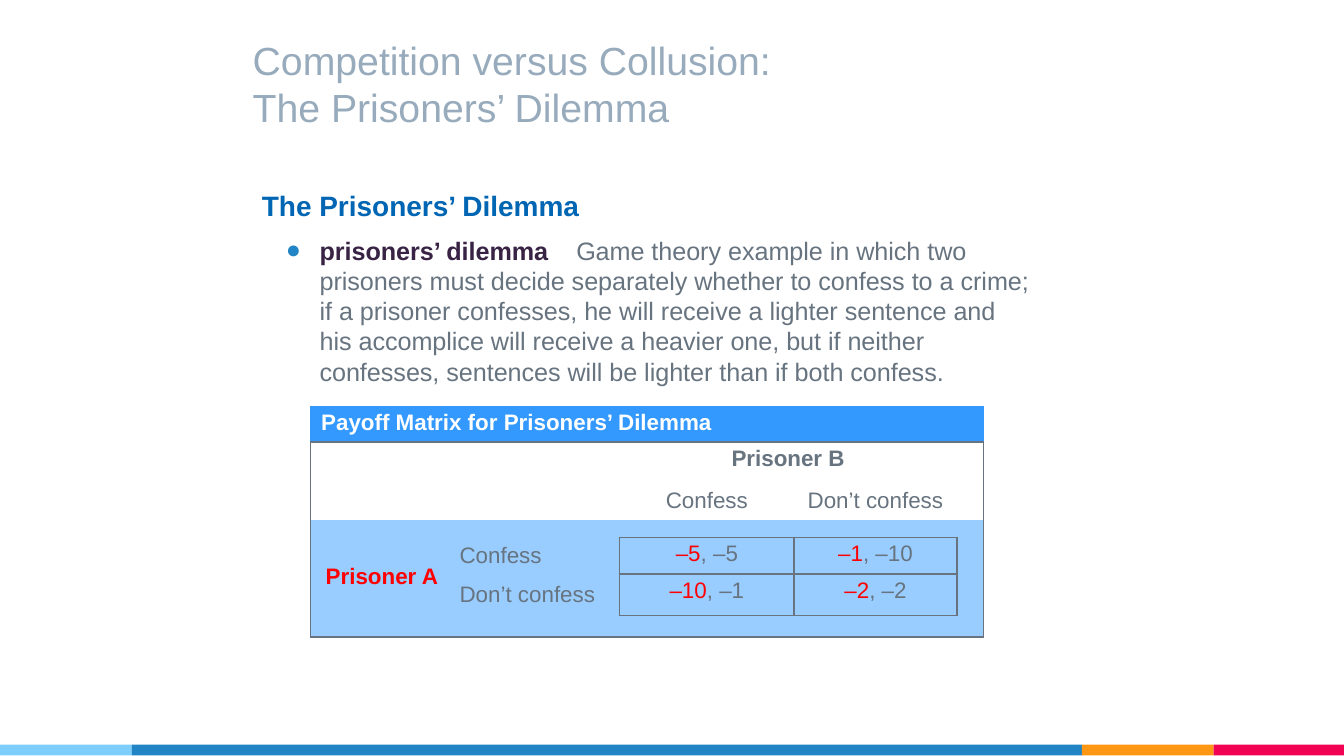
from lxml.etree import SubElement
from pptx import Presentation
from pptx.dml.color import RGBColor
from pptx.enum.shapes import MSO_SHAPE
from pptx.enum.text import MSO_ANCHOR, PP_ALIGN
from pptx.oxml.ns import qn
from pptx.util import Inches, Pt

GREY, RED, BLUE = "677480", "FF0000", "2185C5"
LEFT, CENTER, RIGHT = PP_ALIGN.LEFT, PP_ALIGN.CENTER, PP_ALIGN.RIGHT


def style(span, size, color, bold=False):
    span.font.name = "Arial"
    span.font.size = Pt(size)
    span.font.bold = bold
    span.font.color.rgb = RGBColor.from_string(color)


def set_borders(cell, sides):
    """Draw a 1 pt line on the sides marked true, and none on the others."""
    for side, visible in sides.items():
        line = SubElement(cell._tc.get_or_add_tcPr(), qn(f"a:ln{side}"), w="12700")
        if visible:
            fill = SubElement(line, qn("a:solidFill"))
            SubElement(fill, qn("a:srgbClr"), val=GREY)
        else:
            SubElement(line, qn("a:noFill"))


deck = Presentation()
deck.slide_width, deck.slide_height = Inches(10), Inches(5.625)
page = deck.slides.add_slide(deck.slide_layouts[5])

# Footer stripe
stripe_left = 0
for width, color in ((0.98, "7ECEFD"), (7.07, BLUE), (0.98, "FF9715"), (0.97, "F20253")):
    stripe = page.shapes.add_shape(MSO_SHAPE.RECTANGLE, Inches(stripe_left), Inches(5.54),
                                   Inches(width), Inches(0.08))
    stripe.shadow.inherit = False
    stripe.fill.solid()
    stripe.fill.fore_color.rgb = RGBColor.from_string(color)
    stripe.line.fill.background()
    stripe_left += width

# Title
title = page.shapes.title
title.left, title.top, title.width, title.height = map(Inches, (1.78, 0.67, 6.06, 0.4))
frame = title.text_frame
frame.text = "Competition versus Collusion:\vThe Prisoners’ Dilemma"
frame.vertical_anchor = MSO_ANCHOR.BOTTOM
frame.margin_left = frame.margin_right = frame.margin_top = frame.margin_bottom = Inches(0.1)
frame.paragraphs[0].alignment = LEFT
for span in frame.paragraphs[0].runs:
    style(span, 21, "97ABBC")

# Heading
heading = page.shapes.add_textbox(Inches(1.85), Inches(1.35), Inches(2.65), Inches(0.35))
heading.text_frame.text = "The Prisoners’ Dilemma"
style(heading.text_frame.paragraphs[0].runs[0], 15, "0066B3", True)

# Definition
definition = page.shapes.add_textbox(Inches(2.03), Inches(1.7), Inches(5.74), Inches(1.24))
definition.text_frame.word_wrap = True
para = definition.text_frame.paragraphs[0]
properties = para._p.get_or_add_pPr()
properties.set("marL", str(Inches(0.25)))
properties.set("indent", str(-Inches(0.25)))
bullet_color = SubElement(properties, qn("a:buClr"))
SubElement(bullet_color, qn("a:srgbClr"), val=BLUE)
SubElement(properties, qn("a:buFont"), typeface="Arial")
SubElement(properties, qn("a:buChar"), char="●")
tabs = SubElement(properties, qn("a:tabLst"))
SubElement(tabs, qn("a:tab"), pos=str(Inches(2.16)), algn="l")
for text, color, bold in (
    ("prisoners’ dilemma\t", "382344", True),
    ("Game theory example in which two prisoners must decide separately whether to confess "
     "to a crime; if a prisoner confesses, he will receive a lighter sentence and his "
     "accomplice will receive a heavier one, but if neither confesses, sentences will be "
     "lighter than if both confess.", GREY, False),
):
    span = para.add_run()
    span.text = text
    style(span, 13.5, color, bold)

# Payoff matrix
column_widths = (1.03, 1.27, 1.3, 1.21, 0.19)
row_heights = (0.27, 0.31, 0.27, 0.13, 0.27, 0.31, 0.16)
table_shape = page.shapes.add_table(len(row_heights), len(column_widths), Inches(2.31),
                                    Inches(3.02), Inches(5), Inches(1.72))
table = table_shape.table
table.first_row = table.horz_banding = False
# "No Style, No Grid"
table._tbl.tblPr.find(qn("a:tableStyleId")).text = "{2D5ABB26-0587-4C30-8999-92F81FD0307C}"
for column, width in zip(table.columns, column_widths):
    column.width = Inches(width)
for row, height in zip(table.rows, row_heights):
    row.height = Inches(height)

# (row, column): alignment and runs of text, colour, bold
entries = {
    (0, 0): (LEFT, [("Payoff Matrix for Prisoners’ Dilemma", "FFFFFF", True)]),
    (1, 2): (CENTER, [("Prisoner B", GREY, True)]),
    (2, 2): (CENTER, [("Confess", GREY, False)]),
    (2, 3): (CENTER, [("Don’t confess", GREY, False)]),
    (4, 0): (RIGHT, [("Prisoner A", RED, True)]),
    (4, 1): (LEFT, [("Confess", GREY, False)]),
    (5, 1): (LEFT, [("Don’t confess", GREY, False)]),
}
payoffs = ((("–5", "–5"), ("–1", "–10")), (("–10", "–1"), ("–2", "–2")))
for r, payoff_row in enumerate(payoffs, 4):
    for c, (payoff_a, payoff_b) in enumerate(payoff_row, 2):
        entries[r, c] = (CENTER, [(payoff_a, RED, False), (f", {payoff_b}", GREY, False)])

for first, last in (((0, 0), (0, 4)), ((1, 0), (2, 0)), ((1, 1), (2, 1)),
                    ((1, 2), (1, 3)), ((4, 0), (5, 0))):
    table.cell(*first).merge(table.cell(*last))

for r in range(len(row_heights)):
    for c in range(len(column_widths)):
        cell = table.cell(r, c)
        # A frame around rows 1 to 6, and a grid around the four payoffs
        payoff_row, payoff_column = r in (4, 5), c in (2, 3)
        set_borders(cell, {
            "L": (r > 0 and c == 0) or (payoff_row and c in (2, 3, 4)),
            "R": (r > 0 and c == 4) or (payoff_row and c in (1, 2, 3)),
            "T": r == 1 or (payoff_column and r in (4, 5, 6)),
            "B": r in (0, 6) or (payoff_column and r in (3, 4, 5)),
        })
        if r in (1, 2):
            cell.fill.background()
        else:
            cell.fill.solid()
            cell.fill.fore_color.rgb = RGBColor.from_string("99CCFF" if r else "3399FF")

        para = cell.text_frame.paragraphs[0]
        if (r, c) in entries:
            cell.margin_left = cell.margin_right = Inches(0.08)
            cell.margin_top = cell.margin_bottom = Inches(0.03)
            cell.vertical_anchor = MSO_ANCHOR.MIDDLE if r > 3 and c < 2 else MSO_ANCHOR.TOP
            para.alignment, spans = entries[r, c]
            for text, color, bold in spans:
                span = para.add_run()
                span.text = text
                style(span, 12, color, bold)
        else:
            # Small empty cells keep the narrow rows and columns from growing
            cell.margin_left = cell.margin_right = cell.margin_top = cell.margin_bottom = 0
            SubElement(para._p, qn("a:endParaRPr"), sz="600")

deck.save("out.pptx")
